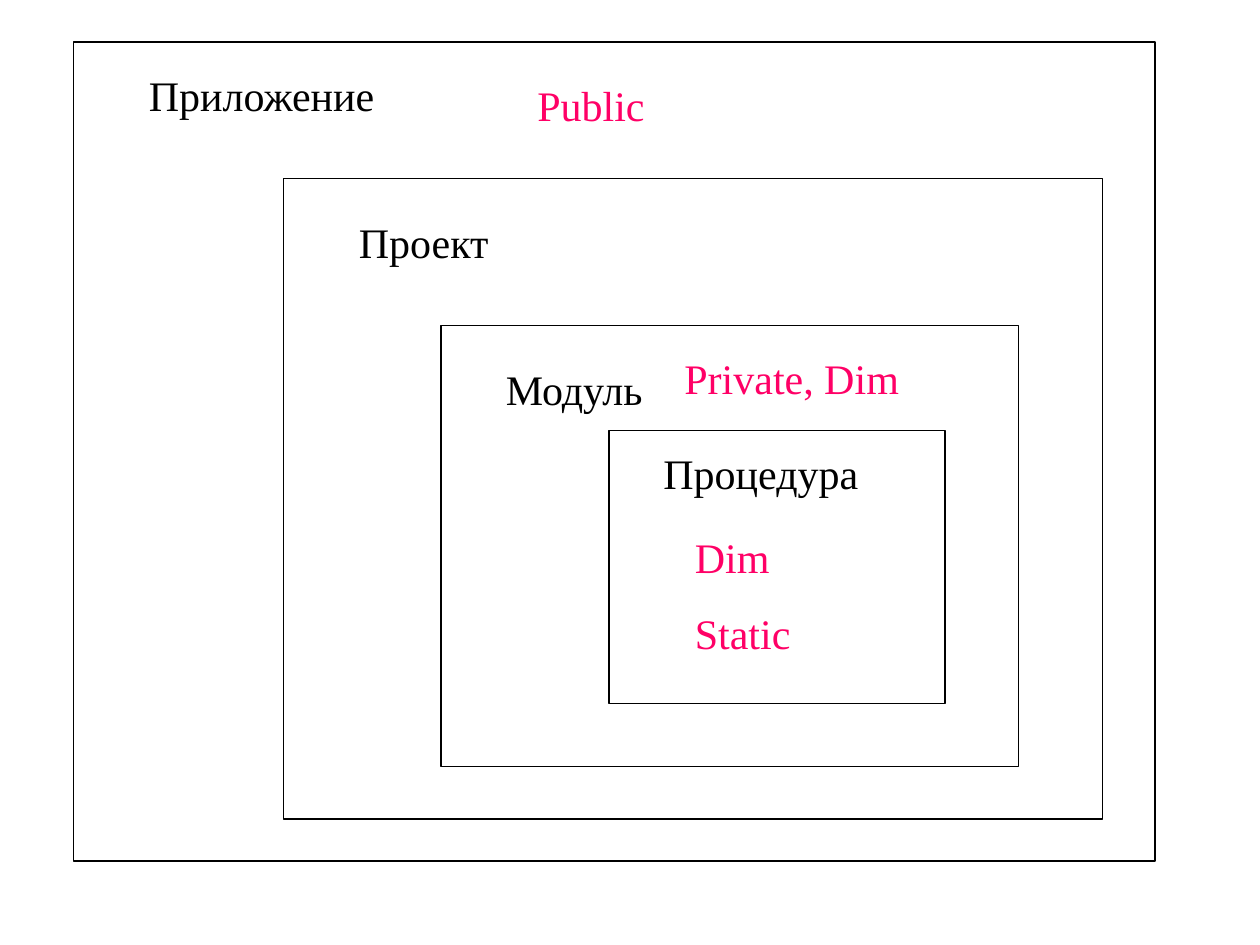
from pptx import Presentation
from pptx.dml.color import RGBColor
from pptx.enum.shapes import MSO_SHAPE
from pptx.enum.text import MSO_AUTO_SIZE
from pptx.util import Pt

COLORS = {"scope": "000000", "keyword": "FF0066"}
FONT = "Times New Roman"

presentation = Presentation()
presentation.slide_width = Pt(720)
presentation.slide_height = Pt(540)
slide = presentation.slides.add_slide(presentation.slide_layouts[6])

# Nested scopes, outermost first: left, top, width, height
scope_frames = [
    (42, 24, 618, 468),
    (162, 102, 468, 366),
    (252, 186, 330, 252),
    (348, 246, 192, 156),
]
for frame in scope_frames:
    shape = slide.shapes.add_shape(MSO_SHAPE.RECTANGLE, *map(Pt, frame))
    shape.shadow.inherit = False
    shape.fill.background()
    shape.line.color.rgb = RGBColor.from_string(COLORS["scope"])
    shape.line.width = Pt(0.75)

# Lines of text, color, left, top, width, height
labels = [
    (["Приложение"], "scope", 78, 36, 258, 36),
    (["Проект"], "scope", 198, 120, 246, 36),
    (["Модуль"], "scope", 282, 204, 150, 36),
    (["Процедура"], "scope", 372, 252, 132, 36),
    (["Public"], "keyword", 300, 42, 114, 36),
    (["Private, Dim"], "keyword", 384, 198, 168, 36),
    (["Dim", "Static"], "keyword", 390, 300, 114, 80),
]
for lines, color, *position in labels:
    text_frame = slide.shapes.add_textbox(*map(Pt, position)).text_frame
    text_frame.word_wrap = True
    text_frame.auto_size = MSO_AUTO_SIZE.SHAPE_TO_FIT_TEXT
    for index, line in enumerate(lines):
        paragraph = text_frame.add_paragraph() if index else text_frame.paragraphs[0]
        paragraph.space_before = Pt(15)
        run = paragraph.add_run()
        run.text = line
        run.font.name = FONT
        run.font.size = Pt(24)
        run.font.color.rgb = RGBColor.from_string(COLORS[color])

presentation.save("out.pptx")
